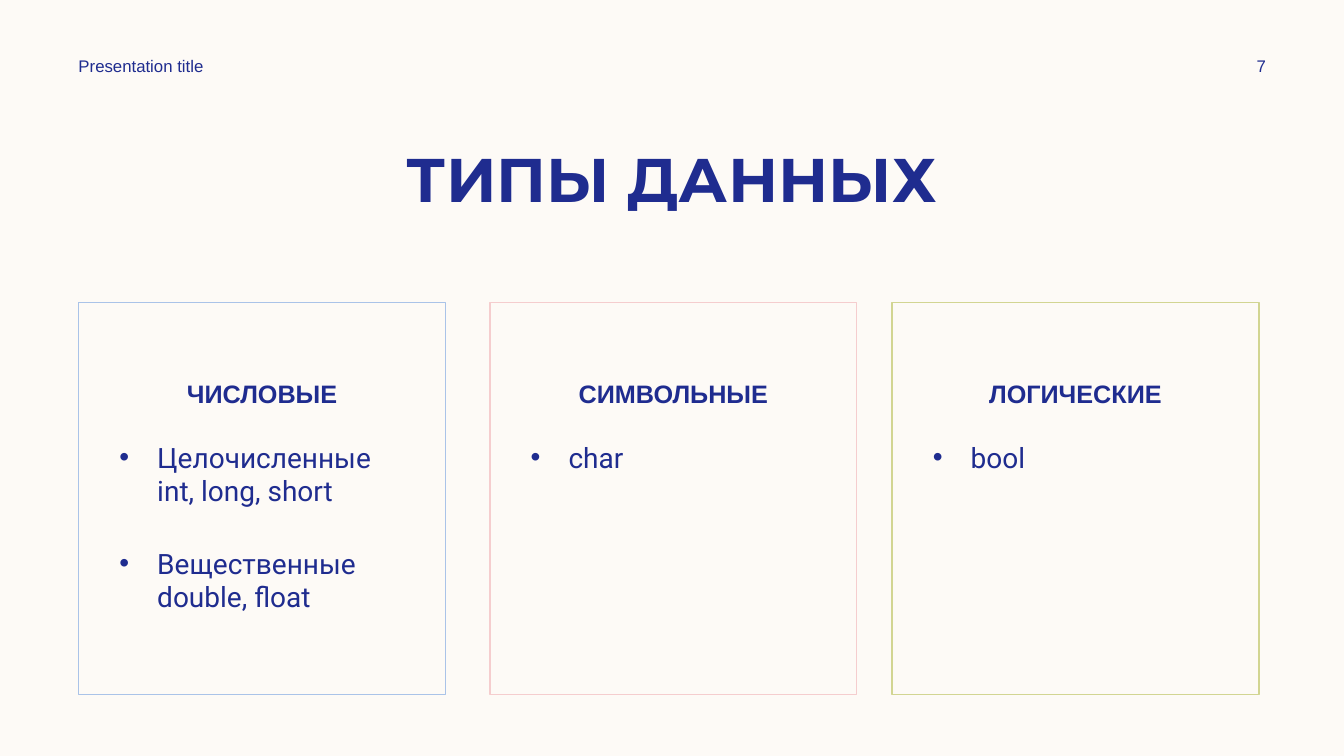
"""Build the slide on data types with three outlined cards."""
from pptx import Presentation
from pptx.dml.color import RGBColor
from pptx.enum.shapes import MSO_SHAPE
from pptx.enum.text import MSO_ANCHOR, MSO_AUTO_SIZE, PP_ALIGN
from pptx.oxml.ns import qn
from pptx.util import Pt
from lxml import etree

RECT = MSO_SHAPE.RECTANGLE
TOP, MID = MSO_ANCHOR.TOP, MSO_ANCHOR.MIDDLE
LEFT, CENTER = PP_ALIGN.LEFT, PP_ALIGN.CENTER
FIXED = MSO_AUTO_SIZE.NONE

COLORS = {"back": "FDFAF6", "ink": "1F2C8F", "blue": "AAC3E8",
          "pink": "F5CDCE", "green": "D2D592"}
TITLE = "ТИПЫ ДАННЫХ"
LABELS = [("Presentation title", 49, 252, LEFT), ("7", 862, 78, CENTER)]
CARDS = [
    ("ЧИСЛОВЫЕ", "blue", 56.2,
     ["Целочисленные\vint, long, short", "Вещественные double, float"]),
    ("СИМВОЛЬНЫЕ", "pink", 350, ["char"]),
    ("ЛОГИЧЕСКИЕ", "green", 637.2, ["bool"]),
]
CARD_TOP, CARD_W, CARD_H = 216, 262, 280
LIST_TOP, LIST_W, LIST_H = 311, 218, 173.5
INDENT, GAP = 27, 27.6


def color(name):
    return RGBColor.from_string(COLORS[name])


def frame(shape, anchor=TOP):
    text = shape.text_frame
    text.word_wrap = True
    text.auto_size = FIXED
    text.vertical_anchor = anchor
    return text


def write(para, text, face, size, align=LEFT, bold=False):
    para.alignment = align
    for i, line in enumerate(text.split("\v")):
        if i:
            para.add_line_break()
        run = para.add_run()
        run.text = line
        font = run.font
        font.name, font.size, font.bold = face, Pt(size), bold
        font.color.rgb = color("ink")


def bullet(para):
    props = para._p.get_or_add_pPr()
    props.set("marL", str(Pt(INDENT)))
    props.set("indent", str(Pt(-INDENT)))
    etree.SubElement(props, qn("a:buFont")).set("typeface", "Arial")
    etree.SubElement(props, qn("a:buChar")).set("char", "•")


def add_card(shapes, head, tint, left, items):
    card = shapes.add_shape(RECT, Pt(left), Pt(CARD_TOP), Pt(CARD_W), Pt(CARD_H))
    card.shadow.inherit = False
    card.fill.background()
    card.line.color.rgb = color(tint)
    card.line.width = Pt(1)
    text = frame(card)
    text.margin_top = Pt(54)
    write(text.paragraphs[0], head, "Arial", 18, CENTER, True)

    inset = (CARD_W - LIST_W) / 2
    box = shapes.add_textbox(Pt(left + inset), Pt(LIST_TOP), Pt(LIST_W), Pt(LIST_H))
    text = frame(box)
    for i, item in enumerate(items):
        para = text.add_paragraph() if i else text.paragraphs[0]
        bullet(para)
        if i:
            para.space_before = Pt(GAP)
        write(para, item, "Roboto", 20)


def main():
    deck = Presentation()
    deck.slide_width, deck.slide_height = Pt(960), Pt(540)
    slide = deck.slides.add_slide(deck.slide_layouts[5])
    fill = slide.background.fill
    fill.solid()
    fill.fore_color.rgb = color("back")
    shapes = slide.shapes

    title = shapes.title
    title.left, title.top = Pt(60), Pt(97.2)
    title.width, title.height = Pt(840), Pt(60.5)
    write(frame(title).paragraphs[0], TITLE, "Montserrat", 44, CENTER, True)

    for label, left, width, align in LABELS:
        box = shapes.add_textbox(Pt(left), Pt(36), Pt(width), Pt(21.6))
        write(frame(box, MID).paragraphs[0], label, "Arial", 12, align)

    for card in CARDS:
        add_card(shapes, *card)
    deck.save("out.pptx")


if __name__ == "__main__":
    main()
